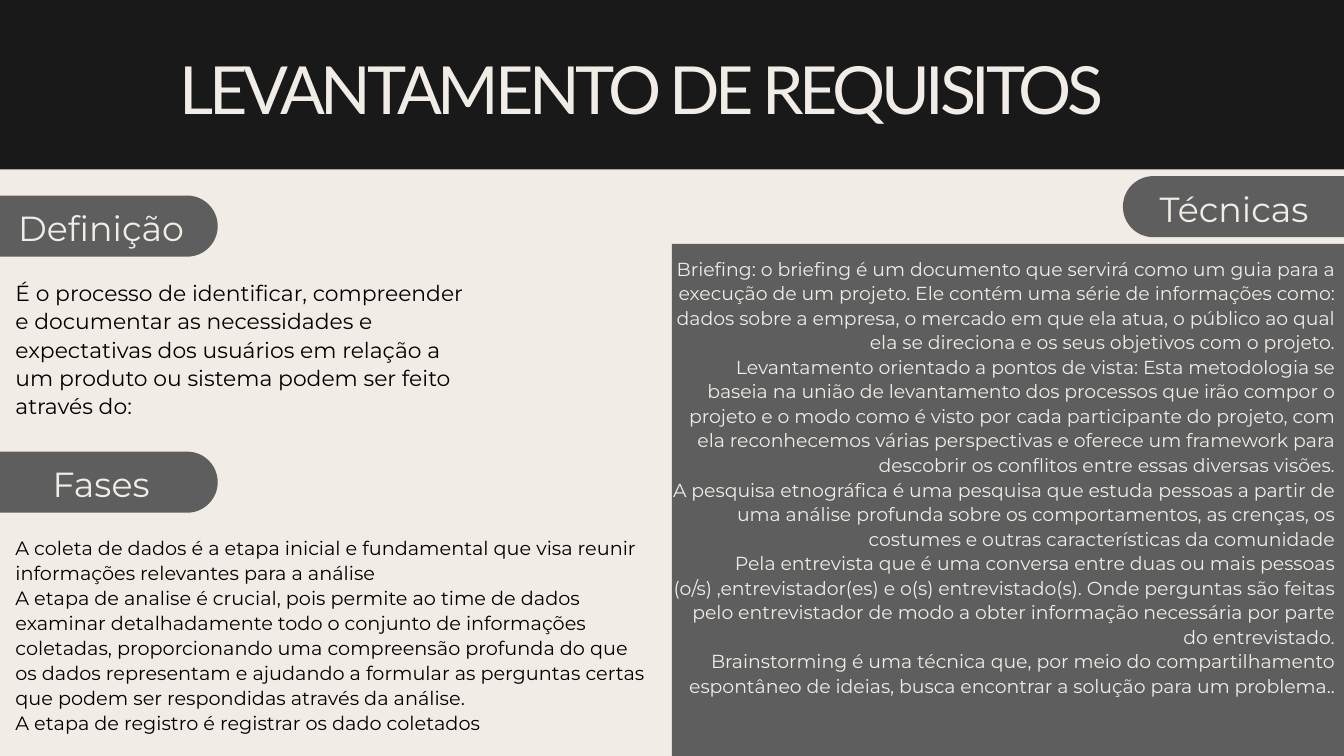
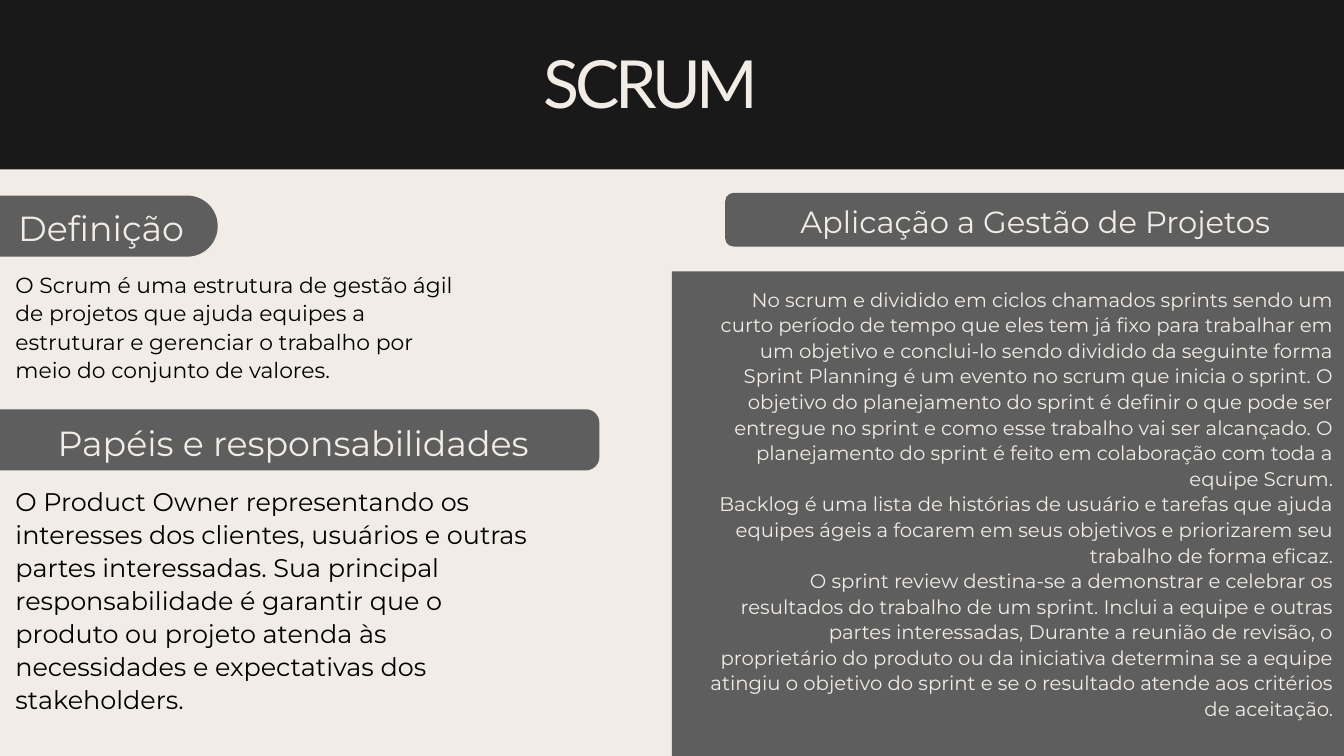
"""Build two slides on requirements gathering and Scrum."""
import pptx
import pptx.dml.color
import pptx.enum.shapes
import pptx.enum.text
import pptx.util

COLORS = {"ink": "191919", "sand": "F1ECE6", "gray": "5E5E5E", "black": "000000"}
ALIGN = {
    "left": pptx.enum.text.PP_ALIGN.LEFT,
    "center": pptx.enum.text.PP_ALIGN.CENTER,
    "right": pptx.enum.text.PP_ALIGN.RIGHT,
}
RECT = pptx.enum.shapes.MSO_SHAPE.RECTANGLE
ROUND = pptx.enum.shapes.MSO_SHAPE.ROUNDED_RECTANGLE
COLS, ROWS = 20, 11.25
BAND = 2.52
PILL_W, PILL_H = 3.8, 0.91
LABEL_W, LABEL_H = 2.59, 0.64
LABEL_SIZE = 37.3
MARGIN = 0.23
HALF = COLS / 2

prs = pptx.Presentation()
prs.slide_width = pptx.util.Inches(20)
prs.slide_height = pptx.util.Inches(11.25)
CELL = prs.slide_width / COLS


def add_block(s, kind, box, color, corner=None):
    sp = s.shapes.add_shape(kind, *[round(v * CELL) for v in box])
    sp.shadow.inherit = False
    sp.fill.solid()
    sp.fill.fore_color.rgb = pptx.dml.color.RGBColor.from_string(COLORS[color])
    sp.line.fill.background()
    if corner is not None:
        sp.adjustments[0] = corner


def add_text(s, box, texts, size, color, align="left", font="Montserrat", leading=1.3, spc=None):
    sp = s.shapes.add_textbox(*[round(v * CELL) for v in box])
    tf = sp.text_frame
    tf.word_wrap = True
    tf.auto_size = pptx.enum.text.MSO_AUTO_SIZE.SHAPE_TO_FIT_TEXT
    tf.margin_left = tf.margin_right = tf.margin_top = tf.margin_bottom = 0
    for i, text in enumerate(texts):
        p = tf.add_paragraph() if i else tf.paragraphs[0]
        p.alignment = ALIGN[align]
        p.line_spacing = pptx.util.Pt(round(size * leading, 1))
        r = p.add_run()
        r.text = text
        r.font.size = pptx.util.Pt(size)
        r.font.name = font
        r.font.color.rgb = pptx.dml.color.RGBColor.from_string(COLORS[color])
        if spc is not None:
            r._r.get_or_add_rPr().set("spc", str(spc))


definition = ("Definição", LABEL_SIZE, (-0.56, 2.91, PILL_W, PILL_H), 0.5, (0.21, 3.02, LABEL_W, LABEL_H))

slides = [
    {
        "title": ("LEVANTAMENTO DE REQUISITOS", (2.67, 1.07, 14.66, 0.93), "left"),
        "panel_top": 3.63,
        "headings": [
            definition,
            ("Técnicas", LABEL_SIZE, (16.71, 2.62, PILL_W, PILL_H), 0.5, (17.07, 2.74, LABEL_W, LABEL_H)),
            ("Fases", LABEL_SIZE, (-0.56, 6.72, PILL_W, PILL_H), 0.5, (0.21, 6.83, LABEL_W, LABEL_H)),
        ],
        "bodies": [
            ((MARGIN, 4.13, 6.71, 2.1), 23.4, "black", "left", [
                "É o processo de identificar, compreender e documentar as necessidades e "
                "expectativas dos usuários em relação a um produto ou sistema podem ser feito "
                "através do:",
            ]),
            ((HALF, 3.8, 9.86, 7.2), 20.2, "sand", "right", [
                "Briefing: o briefing é um documento que servirá como um guia para a execução de "
                "um projeto. Ele contém uma série de informações como: dados sobre a empresa, o "
                "mercado em que ela atua, o público ao qual ela se direciona e os seus objetivos "
                "com o projeto.",
                "Levantamento orientado a pontos de vista: Esta metodologia se baseia na união de "
                "levantamento dos processos que irão compor o projeto e o modo como é visto por "
                "cada participante do projeto, com ela reconhecemos várias perspectivas e oferece "
                "um framework para descobrir os conflitos entre essas diversas visões.",
                "A pesquisa etnográfica é uma pesquisa que estuda pessoas a partir de uma análise "
                "profunda sobre os comportamentos, as crenças, os costumes e outras "
                "características da comunidade",
                "Pela entrevista que é uma conversa entre duas ou mais pessoas (o/s) "
                ",entrevistador(es) e o(s) entrevistado(s). Onde perguntas são feitas pelo "
                "entrevistador de modo a obter informação necessária por parte do entrevistado.",
                "Brainstorming é uma técnica que, por meio do compartilhamento espontâneo de "
                "ideias, busca encontrar a solução para um problema..",
            ]),
            ((MARGIN, 7.95, 9.46, 2.96), 20.6, "black", "left", [
                "A coleta de dados é a etapa inicial e fundamental que visa reunir informações "
                "relevantes para a análise",
                "A etapa de analise é crucial, pois permite ao time de dados examinar "
                "detalhadamente todo o conjunto de informações coletadas, proporcionando uma "
                "compreensão profunda do que os dados representam e ajudando a formular as "
                "perguntas certas que podem ser respondidas através da análise.",
                "A etapa de registro é registrar os dado coletados",
            ]),
        ],
    },
    {
        "title": ("SCRUM", (7.8, 0.98, 3.78, 0.93), "center"),
        "panel_top": 4.04,
        "headings": [
            definition,
            ("Aplicação a Gestão de Projetos", 32.8, (10.79, 2.87, 11.56, 0.8), 0.16, (11.46, 2.97, 7.89, 0.57)),
            ("Papéis e responsabilidades", LABEL_SIZE, (-0.34, 6.09, 9.26, PILL_H), 0.22, (0.36, 6.22, 8.01, LABEL_H)),
        ],
        "bodies": [
            ((MARGIN, 4.01, 6.71, 1.68), 23.4, "black", "left", [
                "O Scrum é uma estrutura de gestão ágil de projetos que ajuda equipes a "
                "estruturar e gerenciar o trabalho por meio do conjunto de valores.",
            ]),
            ((10.54, 4.25, 9.3, 6.74), 21.1, "sand", "right", [
                "No scrum e dividido em ciclos chamados sprints sendo um curto período de tempo "
                "que eles tem já fixo para trabalhar em um objetivo e conclui-lo sendo dividido "
                "da seguinte forma",
                "Sprint Planning é um evento no scrum que inicia o sprint. O objetivo do "
                "planejamento do sprint é definir o que pode ser entregue no sprint e como esse "
                "trabalho vai ser alcançado. O planejamento do sprint é feito em colaboração com "
                "toda a equipe Scrum.",
                "Backlog é uma lista de histórias de usuário e tarefas que ajuda equipes ágeis a "
                "focarem em seus objetivos e priorizarem seu trabalho de forma eficaz.",
                "O sprint review destina-se a demonstrar e celebrar os resultados do trabalho de "
                "um sprint. Inclui a equipe e outras partes interessadas, Durante a reunião de "
                "revisão, o proprietário do produto ou da iniciativa determina se a equipe "
                "atingiu o objetivo do sprint e se o resultado atende aos critérios de aceitação.",
            ]),
            ((MARGIN, 7.19, 7.94, 3.44), 27.3, "black", "left", [
                "O Product Owner representando os interesses dos clientes, usuários e outras "
                "partes interessadas. Sua principal responsabilidade é garantir que o produto ou "
                "projeto atenda às necessidades e expectativas dos stakeholders.",
            ]),
        ],
    },
]

for content in slides:
    s = prs.slides.add_slide(prs.slide_layouts[6])
    s.background.fill.solid()
    s.background.fill.fore_color.rgb = pptx.dml.color.RGBColor.from_string(COLORS["ink"])
    add_block(s, RECT, (0, BAND, COLS, ROWS - BAND), "sand")

    for label, size, pill, corner, box in content["headings"]:
        add_block(s, ROUND, pill, "gray", corner)
        add_text(s, box, [label], size, "sand", "center")

    top = content["panel_top"]
    add_block(s, RECT, (HALF, top, HALF, ROWS - top), "gray")

    title, box, align = content["title"]
    add_text(s, box, [title], 71.1, "sand", align, "Lato", 0.85, -460)

    for box, size, color, align, texts in content["bodies"]:
        add_text(s, box, texts, size, color, align)

prs.save("out.pptx")
